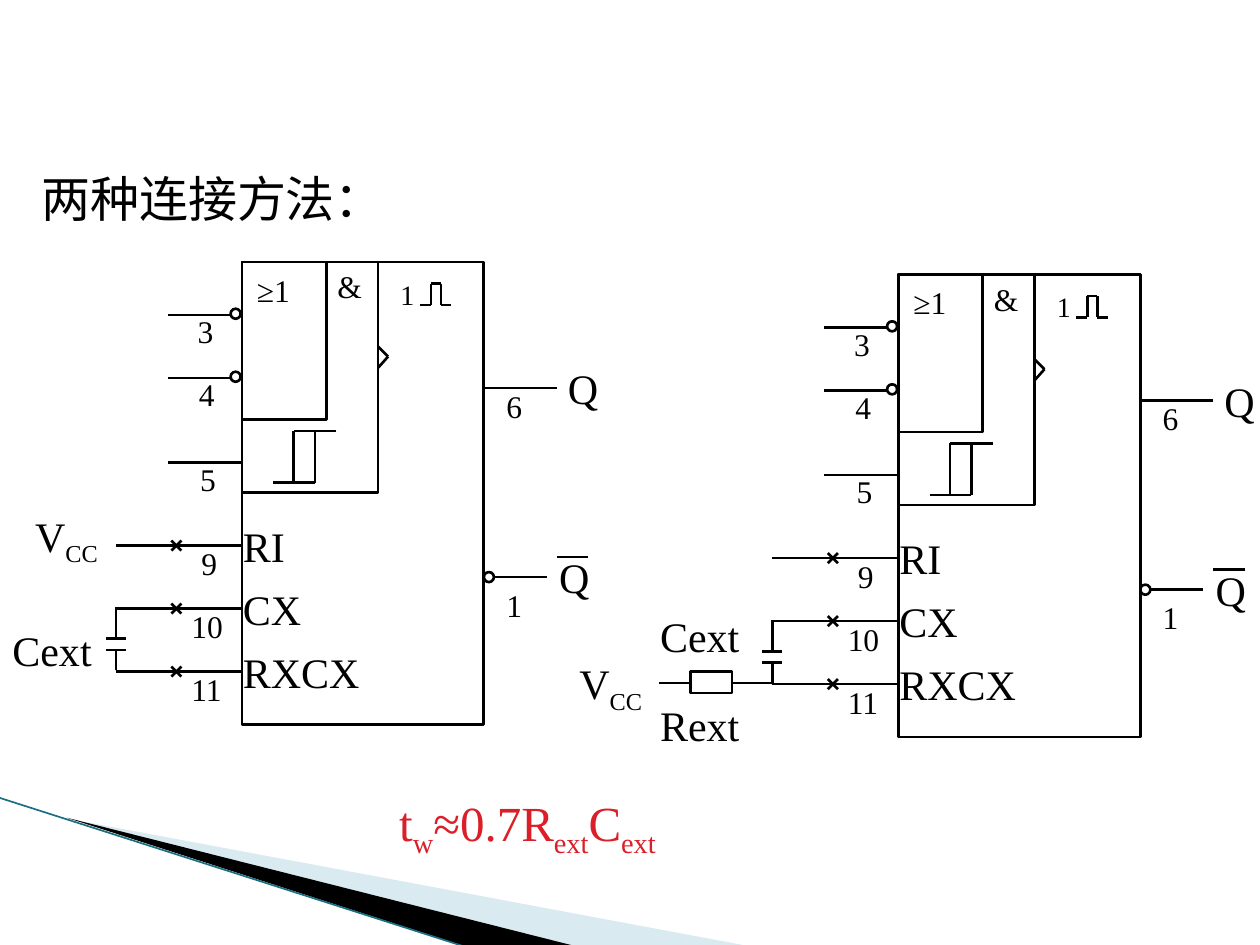
"""Build the slide showing two ways of wiring a monostable chip."""
from lxml import etree
from pptx import Presentation
from pptx import util as u
from pptx.dml.color import RGBColor
from pptx.enum import shapes as kinds, text
from pptx.oxml.ns import qn

COLORS = {"ink": "000000", "formula": "DA1F28", "pale": "D9EAF1", "edge": "1B6F82"}
FONT = "Times New Roman"


def color(name):
    """Return the named palette colour."""
    return RGBColor.from_string(COLORS[name])


def line(parts, start, end, ink="ink", width=1.5):
    """Draw one straight line without a shadow."""
    stroke = parts.add_connector(
        kinds.MSO_CONNECTOR.STRAIGHT, *(u.Inches(v) for v in (*start, *end)))
    stroke.line.color.rgb = color(ink)
    stroke.line.width = u.Pt(width)
    etree.SubElement(stroke._element.spPr, qn("a:effectLst"))


def wire(parts, *points):
    """Join successive points with lines."""
    for start, end in zip(points, points[1:]):
        line(parts, start, end)


def outline(parts, x, y, w, h, kind=kinds.MSO_SHAPE.RECTANGLE):
    """Draw an unfilled rectangle or other preset shape."""
    body = parts.add_shape(kind, *(u.Inches(v) for v in (x, y, w, h)))
    body.shadow.inherit = False
    body.fill.background()
    body.line.color.rgb = color("ink")
    body.line.width = u.Pt(1.5)


def bubble(parts, x, y):
    """Draw an inversion bubble with its left edge at x, centred on y."""
    outline(parts, x, y - 0.04, 0.08, 0.08, kinds.MSO_SHAPE.OVAL)


def label(parts, x, y, w, h, size, *pieces, ink="ink", wrap=False):
    """Write text whose every second piece is a subscript."""
    box = parts.add_textbox(*(u.Inches(v) for v in (x, y, w, h)))
    frame = box.text_frame
    frame.word_wrap = wrap
    frame.auto_size = text.MSO_AUTO_SIZE.SHAPE_TO_FIT_TEXT
    for index, piece in enumerate(pieces):
        run = frame.paragraphs[0].add_run()
        run.text = piece
        run.font.name = FONT
        run.font.size = u.Pt(size)
        run.font.color.rgb = color(ink)
        if index % 2:
            run._r.get_or_add_rPr().set("baseline", "-25000")


def swoosh(parts, fill, *points):
    """Draw a filled decorative wedge."""
    corners = [(u.Inches(x), u.Inches(y)) for x, y in points]
    builder = parts.build_freeform(*corners[0], scale=1.0)
    builder.add_line_segments(corners[1:], close=True)
    wedge = builder.convert_to_shape()
    wedge.shadow.inherit = False
    wedge.fill.solid()
    wedge.fill.fore_color.rgb = color(fill)
    wedge.line.fill.background()


def chip_body(parts, x, y):
    """Draw the chip outline and the symbols inside it."""
    for w, h in ((1.92, 3.67), (0.67, 1.25), (1.08, 1.83)):
        outline(parts, x, y, w, h)
    edge = [(1.08, 0.67), (1.16, 0.75), (1.08, 0.84)]
    pulse = [(1.41, 0.34), (1.5, 0.34), (1.5, 0.17),
             (1.58, 0.17), (1.58, 0.34), (1.66, 0.34)]
    hysteresis = [(0.75, 1.34), (0.41, 1.34), (0.41, 1.75)]
    threshold = [(0.58, 1.34), (0.58, 1.75), (0.25, 1.75)]
    for symbol in (edge, pulse, hysteresis, threshold):
        wire(parts, *((x + dx, y + dy) for dx, dy in symbol))
    label(parts, x + 1.16, y + 0.07, 0.31, 0.37, 16, "1")
    label(parts, x + 0.66, y - 0.01, 0.43, 0.43, 18, "&")
    label(parts, x + 0.02, y + 0.02, 0.62, 0.43, 18, "≥1")


def inputs(parts, x, y):
    """Draw the numbered pins on the left side of the chip."""
    for number, dx, dy, inverted in (
            ("3", -0.45, 0.42, True), ("4", -0.44, 0.92, True), ("5", -0.43, 1.59, False)):
        if inverted:
            bubble(parts, x - 0.09, y + dy - 0.01)
        wire(parts, (x - 0.09 * inverted, y + dy), (x - 0.59, y + dy))
        label(parts, x + dx, y + dy - 0.07, 0.33, 0.4, 18, number)
    for row, (number, dx, w, name, name_w) in enumerate((
            ("9", -0.42, 0.33, "RI", 0.57),
            ("10", -0.5, 0.45, "CX", 0.68),
            ("11", -0.5, 0.45, "RXCX", 1.17))):
        level = y + 2.25 + row * 0.5
        wire(parts, (x, level), (x - 1, level))
        for slope in (-0.04, 0.04):
            wire(parts, (x - 0.56, level - slope), (x - 0.48, level + slope))
        label(parts, x + dx, level - 0.06, w, 0.4, 18, number)
        label(parts, x - 0.09, level - 0.25, name_w, 0.5, 24, name)


def outputs(parts, x, y):
    """Draw Q and its complement on the right side of the chip."""
    wire(parts, (x + 1.92, y + 1), (x + 2.5, y + 1))
    label(parts, x + 2, y + 0.94, 0.33, 0.4, 18, "6")
    label(parts, x + 2.49, y + 0.75, 0.46, 0.5, 24, "Q")
    bubble(parts, x + 1.92, y + 2.5)
    wire(parts, (x + 2, y + 2.5), (x + 2.42, y + 2.5))
    label(parts, x + 2, y + 2.52, 0.33, 0.4, 18, "1")
    label(parts, x + 2.42, y + 2.25, 0.46, 0.5, 24, "Q")
    wire(parts, (x + 2.5, y + 2.34), (x + 2.75, y + 2.34))


def capacitor(parts, x, y):
    """Draw the external capacitor between pins 10 and 11."""
    for lead, plate in ((2.74, 2.99), (3.24, 3.08)):
        wire(parts, (x, y + lead), (x, y + plate))
        wire(parts, (x - 0.08, y + plate), (x + 0.08, y + plate))


def circuit(slide, x, y):
    """Draw the chip with its capacitor as a group and return its shapes."""
    parts = slide.shapes.add_group_shape().shapes
    for draw in (chip_body, inputs, outputs):
        draw(parts, x, y)
    capacitor(parts, x - 1, y)
    return parts


def main():
    """Build and save the slide."""
    deck = Presentation()
    deck.slide_width, deck.slide_height = u.Inches(10), u.Inches(7.5)
    slide = deck.slides.add_slide(deck.slide_layouts[6])

    swoosh(slide.shapes, "pale", (0.55, 6.5), (5.95, 7.51), (4.56, 7.51))
    swoosh(slide.shapes, "ink", (0.53, 6.49), (4.57, 7.51), (3.72, 7.52))
    line(slide.shapes, (-0.01, 6.33), (3.71, 7.52), "edge", 0.95)

    internal = circuit(slide, 1.92, 2.08)
    label(internal, 0.18, 4, 0.76, 0.5, 24, "V", "CC")
    label(internal, 0, 4.91, 0.88, 0.5, 24, "Cext", wrap=True)

    external = circuit(slide, 7.13, 2.18)
    outline(external, 5.48, 5.33, 0.33, 0.17)
    wire(external, (6.14, 5.42), (5.81, 5.42))
    wire(external, (5.48, 5.42), (5.23, 5.42))
    label(external, 5.14, 4.8, 0.88, 0.5, 24, "Cext", wrap=True)
    label(external, 5.14, 5.5, 0.88, 0.5, 24, "Rext", wrap=True)
    label(external, 4.5, 5.17, 0.76, 0.5, 24, "V", "CC")

    label(slide.shapes, 0.23, 1.29, 2.94, 0.57, 28, "两种连接方法：")
    label(slide.shapes, 3.07, 6.24, 2.64, 0.57, 28,
          "t", "w", "≈0.7R", "ext", "C", "ext", ink="formula")
    deck.save("out.pptx")


if __name__ == "__main__":
    main()
